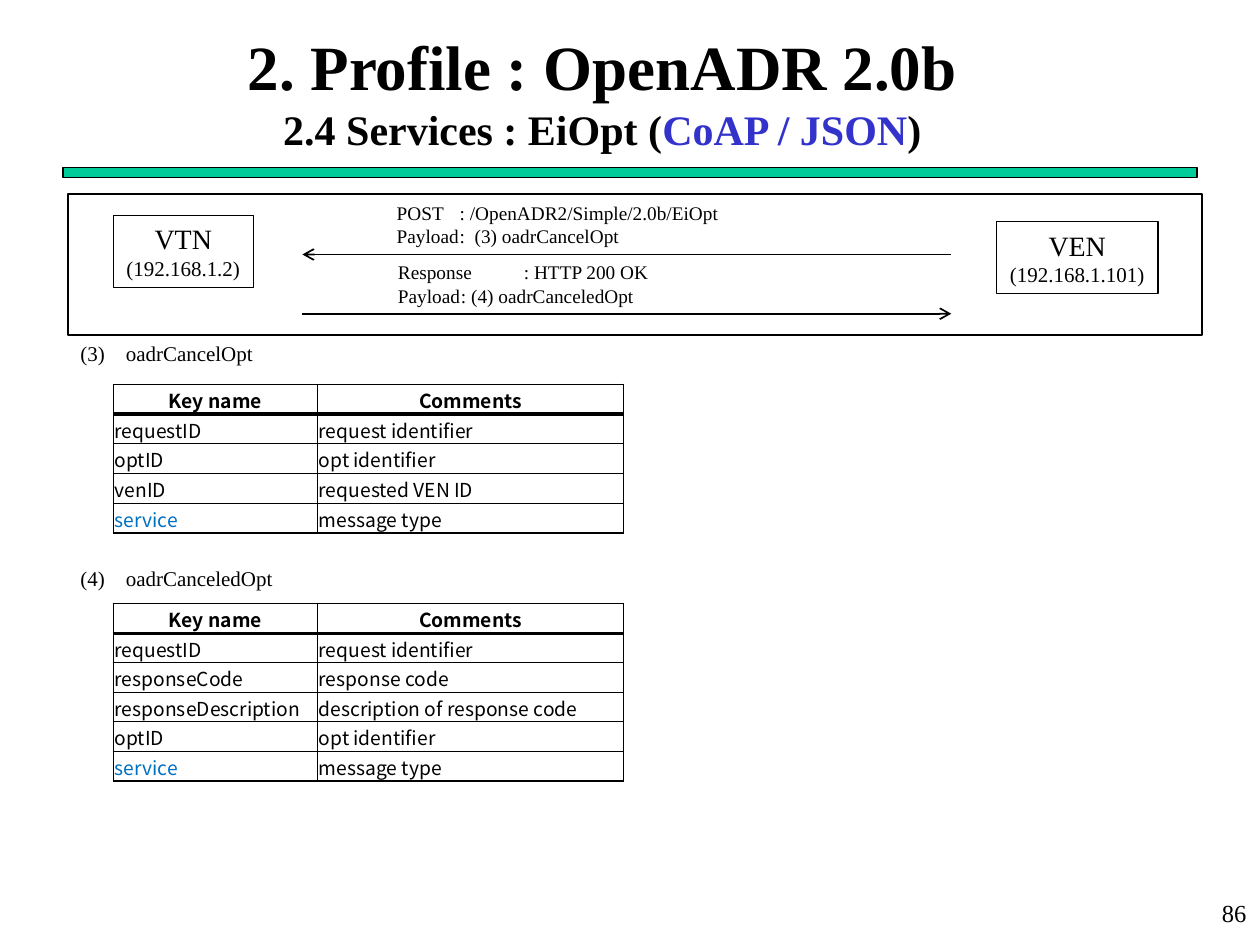
from lxml.etree import SubElement
from pptx import Presentation
from pptx.dml.color import RGBColor
from pptx.enum.shapes import MSO_CONNECTOR, MSO_SHAPE
from pptx.enum.text import MSO_ANCHOR, PP_ALIGN
from pptx.oxml.ns import qn
from pptx.util import Inches, Pt

BLACK = RGBColor(0x00, 0x00, 0x00)
WHITE = RGBColor(0xFF, 0xFF, 0xFF)
GREEN = RGBColor(0x00, 0xCC, 0x99)
INDIGO = RGBColor(0x33, 0x33, 0xCC)
BLUE = RGBColor(0x00, 0x70, 0xC0)
SERIF = "Times New Roman"
SANS = "Noto Sans CJK KR"

prs = Presentation()
prs.slide_width, prs.slide_height = Inches(10), Inches(7.5)
slide = prs.slides.add_slide(prs.slide_layouts[6])
shapes = slide.shapes


def add_box(left, top, width, height, fill, line_width):
    box = shapes.add_shape(MSO_SHAPE.RECTANGLE, Inches(left), Inches(top), Inches(width), Inches(height))
    box.shadow.inherit = False
    box.fill.solid()
    box.fill.fore_color.rgb = fill
    box.line.color.rgb = BLACK
    box.line.width = Pt(line_width)
    return box


def write(frame, lines, align=PP_ALIGN.LEFT, wrap=False):
    frame.word_wrap = wrap
    for index, (text, size) in enumerate(lines):
        paragraph = frame.add_paragraph() if index else frame.paragraphs[0]
        paragraph.text = text
        paragraph.alignment = align
        paragraph.font.size = Pt(size)
        paragraph.font.name = SERIF
        paragraph.font.color.rgb = BLACK


add_box(0.5, 1.33, 9, 0.08, GREEN, 0.75)

page_number = shapes.add_textbox(Inches(7.91), Inches(7.08), Inches(2.08), Inches(0.42))
write(page_number.text_frame, [("86", 14)], PP_ALIGN.RIGHT, True)

title = shapes.add_textbox(Inches(0.03), Inches(0.26), Inches(9.5), Inches(0.92)).text_frame
title.word_wrap = True
title.vertical_anchor = MSO_ANCHOR.MIDDLE
heading = title.paragraphs[0]
heading.alignment = PP_ALIGN.CENTER
heading.font.name = SERIF
heading.font.bold = True
for text, size, color in [
    ("2. Profile : OpenADR 2.0b\v", 36, BLACK),
    ("2.4 Services : EiOpt (", 24, BLACK),
    ("CoAP / JSON", 24, INDIGO),
    (")", 24, BLACK),
]:
    run = heading.add_run()
    run.text = text.rstrip("\v")
    run.font.size = Pt(size)
    run.font.color.rgb = color
    if text.endswith("\v"):
        heading.add_line_break()

add_box(0.54, 1.54, 9, 1.12, WHITE, 1)
for name, address, left, top, width in [
    ("VTN", "(192.168.1.2)", 0.9, 1.71, 1.11),
    ("VEN", "(192.168.1.101)", 7.91, 1.76, 1.28),
]:
    node = add_box(left, top, width, 0.57, WHITE, 0.75)
    write(node.text_frame, [(name, 16), (address, 12)], PP_ALIGN.CENTER)

for tip, origin, y in [(2.4, 7.55, 2.02), (7.55, 2.4, 2.49)]:
    arrow = shapes.add_connector(MSO_CONNECTOR.STRAIGHT, Inches(tip), Inches(y), Inches(origin), Inches(y))
    arrow.line.color.rgb = BLACK
    arrow.line.width = Pt(1)
    SubElement(arrow.line._get_or_add_ln(), qn("a:headEnd"), type="arrow")
    SubElement(arrow._element.spPr, qn("a:effectLst"))

for left, top, width, lines in [
    (3.05, 1.55, 3.31, ["POST\t: /OpenADR2/Simple/2.0b/EiOpt", "Payload\t:  (3) oadrCancelOpt"]),
    (3.06, 2.02, 2.59, ["Response\t: HTTP 200 OK", "Payload\t: (4) oadrCanceledOpt"]),
]:
    message = shapes.add_textbox(Inches(left), Inches(top), Inches(width), Inches(0.47))
    write(message.text_frame, [(line, 11) for line in lines])

HEADER = ("Key name", "Comments")
REQUEST = ("requestID", "request identifier")
OPT = ("optID", "opt identifier")
SERVICE = ("service", "message type")
payloads = [
    ("(3)\toadrCancelOpt", 2.65, 3.05, 1.18,
     [HEADER, REQUEST, OPT, ("venID", "requested VEN ID"), SERVICE]),
    ("(4)\toadrCanceledOpt", 4.44, 4.79, 1.41,
     [HEADER, REQUEST, ("responseCode", "response code"),
      ("responseDescription", "description of response code"), OPT, SERVICE]),
]
for caption, caption_top, table_top, table_height, rows in payloads:
    label = shapes.add_textbox(Inches(0.54), Inches(caption_top), Inches(6.91), Inches(0.3))
    write(label.text_frame, [(caption, 12)], wrap=True)
    properties = label.text_frame.paragraphs[0]._p.get_or_add_pPr()
    properties.set("marL", str(Inches(0.36)))
    properties.set("indent", str(-Inches(0.36)))

    table = shapes.add_table(len(rows), 2, Inches(0.9), Inches(table_top),
                             Inches(4.06), Inches(table_height)).table
    table.first_row = table.horz_banding = False
    table.columns[0].width, table.columns[1].width = Inches(1.62), Inches(2.43)
    last = len(rows) - 1
    for r, row in enumerate(rows):
        for c, text in enumerate(row):
            cell = table.cell(r, c)
            cell.margin_left = cell.margin_right = cell.margin_top = Inches(0.01)
            cell.margin_bottom = 0
            cell.vertical_anchor = MSO_ANCHOR.MIDDLE
            cell.text = text
            entry = cell.text_frame.paragraphs[0]
            entry.alignment = PP_ALIGN.CENTER if r == 0 else PP_ALIGN.LEFT
            entry.font.name = SANS
            entry.font.size = Pt(11)
            entry.font.bold = r == 0
            entry.font.color.rgb = BLUE if text == "service" else BLACK
            borders = {
                "a:lnL": 1 if c == 0 else 0.5,
                "a:lnR": 1 if c == 1 else 0.5,
                "a:lnT": {0: 1, 1: 2}.get(r, 0.5),
                "a:lnB": {0: 2, last: 1}.get(r, 0.5),
            }
            for side, points in borders.items():
                edge = SubElement(cell._tc.get_or_add_tcPr(), qn(side), w=str(Pt(points)))
                SubElement(SubElement(edge, qn("a:solidFill")), qn("a:srgbClr"), val=str(BLACK))
            cell.fill.background()

prs.save("out.pptx")
